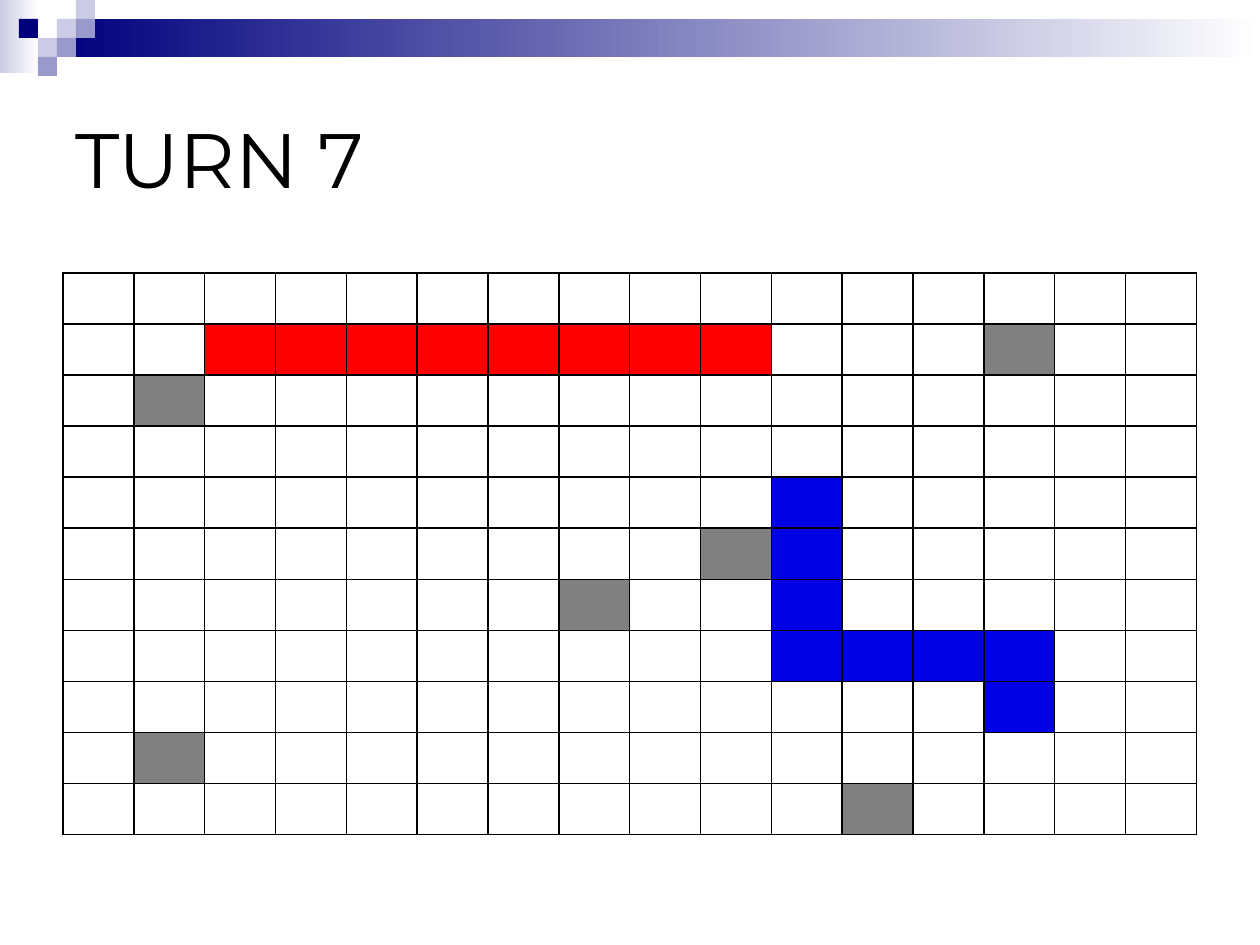
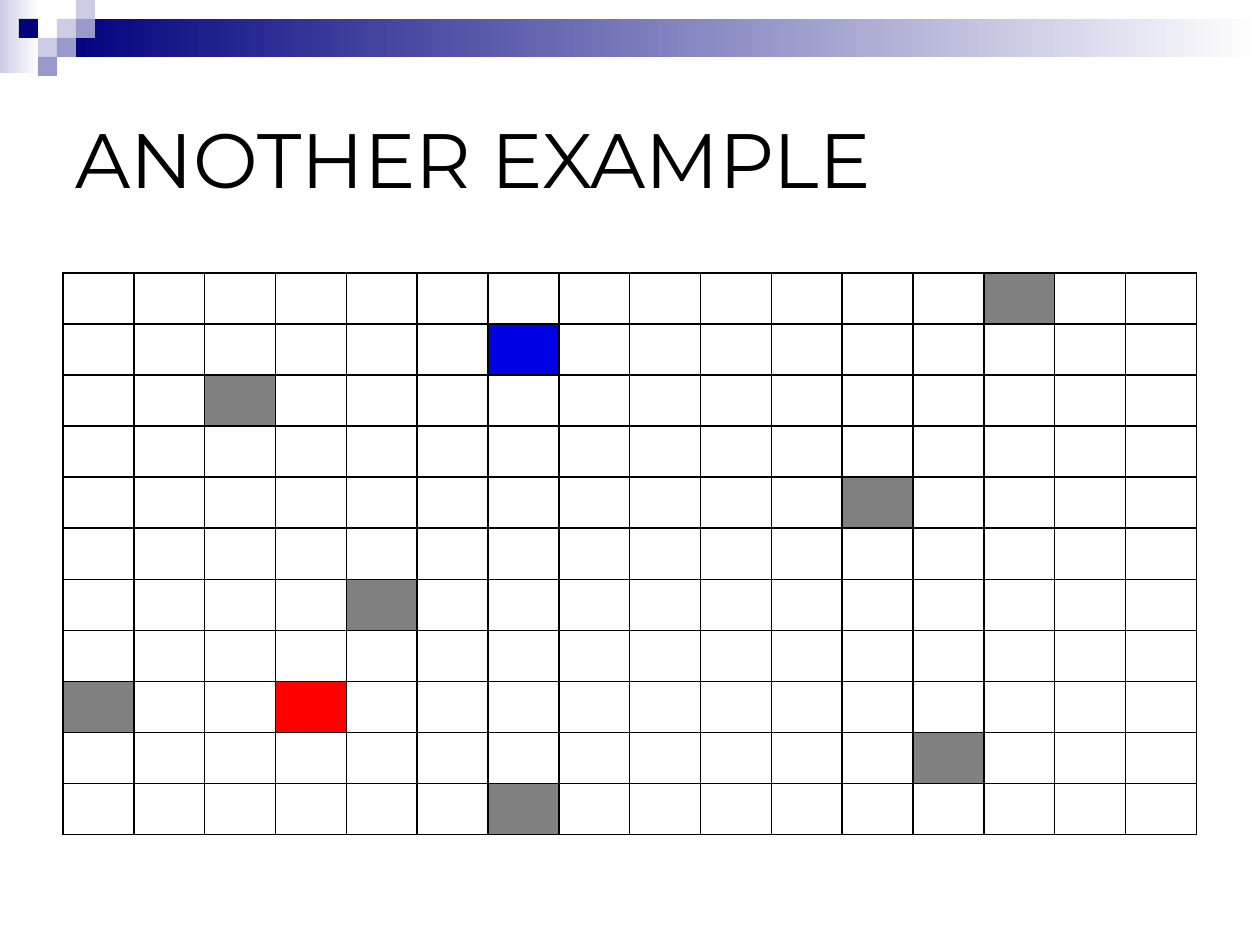
from dataclasses import dataclass
from lxml.etree import SubElement
from pptx import Presentation
from pptx.dml.color import RGBColor
from pptx.enum.shapes import MSO_SHAPE
from pptx.enum.text import MSO_ANCHOR, MSO_AUTO_SIZE, PP_ALIGN
from pptx.oxml.ns import qn
from pptx.util import Pt

# Content: one letter per cell (R red trail, B blue trail, # wall, . free)
BOARDS = [
    ("TURN 7", [
        "................",
        "..RRRRRRRR...#..",
        ".#..............",
        "................",
        "..........B.....",
        ".........#B.....",
        ".......#..B.....",
        "..........BBBB..",
        ".............B..",
        ".#..............",
        "...........#....",
    ]),
    ("ANOTHER EXAMPLE", [
        ".............#..",
        "......B.........",
        "..#.............",
        "................",
        "...........#....",
        "................",
        "....#...........",
        "................",
        "#..R............",
        "............#...",
        "......#.........",
    ]),
]


@dataclass(frozen=True)
class Theme:
    font: str = "Montserrat"
    title: int = 44
    rule: int = 1
    ink: str = "000000"
    paper: str = "FFFFFF"
    navy: str = "00007D"
    mid: str = "9999CC"
    pale: str = "CCCCE6"
    red: str = "FF0000"
    blue: str = "0000E4"
    wall: str = "808080"


LOOK = Theme()
FILLS = {"R": LOOK.red, "B": LOOK.blue, "#": LOOK.wall, ".": LOOK.paper}

# Layout in px, 126 to the inch
PAGE = (1260, 945)
TITLE = (63, 63, 1134, 189)
GRID = (63, 273, 1134, 562)
UNIT = 19
FADES = [((0, 0, 39, 73), LOOK.pale),
         ((3 * UNIT, UNIT, PAGE[0] - 3 * UNIT, 2 * UNIT), LOOK.navy)]
# Small squares: column, row, colour
TILES = [(3, 1, LOOK.pale), (4, 0, LOOK.pale), (4, 1, LOOK.mid),
         (2, 2, LOOK.pale), (1, 1, LOOK.navy), (3, 2, LOOK.mid),
         (2, 3, LOOK.mid)]


def px(n):
    return round(n * 914400 / 126)


def rgb(code):
    return RGBColor.from_string(code)


def block(slide, box):
    shape = slide.shapes.add_shape(MSO_SHAPE.RECTANGLE, *map(px, box))
    shape.shadow.inherit = False
    shape.line.fill.background()
    return shape


def add_band(slide, master):
    """Draw the top band and move it to the master, behind the rest."""
    parts = []
    for box, tone in FADES:
        shape = block(slide, box)
        shape.fill.gradient()
        shape.fill.gradient_angle = 0
        for stop, code in zip(shape.fill.gradient_stops, (tone, LOOK.paper)):
            stop.color.rgb = rgb(code)
        parts.append(shape)
    for col, row, tone in TILES:
        shape = block(slide, (col * UNIT, row * UNIT, UNIT, UNIT))
        shape.fill.solid()
        shape.fill.fore_color.rgb = rgb(tone)
        parts.append(shape)
    tree = master.element.cSld.spTree
    for spot, shape in enumerate(parts, 2):
        tree.insert(spot, shape.element)


def set_title(slide, text):
    head = slide.shapes.title
    head.left, head.top, head.width, head.height = map(px, TITLE)
    frame = head.text_frame
    frame.text = text
    frame.word_wrap = True
    frame.auto_size = MSO_AUTO_SIZE.NONE
    frame.vertical_anchor = MSO_ANCHOR.MIDDLE
    para = frame.paragraphs[0]
    para.alignment = PP_ALIGN.LEFT
    para.font.name = LOOK.font
    para.font.size = Pt(LOOK.title)
    para.font.color.rgb = rgb(LOOK.ink)


def set_rules(cell):
    props = cell._tc.get_or_add_tcPr()
    for side in ("lnL", "lnR", "lnT", "lnB"):
        line = SubElement(props, qn(f"a:{side}"), w=str(Pt(LOOK.rule)))
        fill = SubElement(line, qn("a:solidFill"))
        SubElement(fill, qn("a:srgbClr"), val=LOOK.ink)


def add_grid(slide, rows):
    high, wide = len(rows), len(rows[0])
    table = slide.shapes.add_table(high, wide, *map(px, GRID)).table
    table.first_row = table.horz_banding = False
    for col in table.columns:
        col.width = px(GRID[2] / wide)
    for line, marks in zip(table.rows, rows):
        line.height = px(GRID[3] / high)
        for cell, mark in zip(line.cells, marks):
            cell.margin_top = cell.margin_bottom = 0
            set_rules(cell)
            cell.fill.solid()
            cell.fill.fore_color.rgb = rgb(FILLS[mark])


def main():
    deck = Presentation()
    deck.slide_width, deck.slide_height = map(px, PAGE)
    plain = deck.slide_layouts.get_by_name("Title Only")
    for text, rows in BOARDS:
        slide = deck.slides.add_slide(plain)
        set_title(slide, text)
        add_grid(slide, rows)
    add_band(deck.slides[0], deck.slide_master)
    deck.save("out.pptx")


if __name__ == "__main__":
    main()
